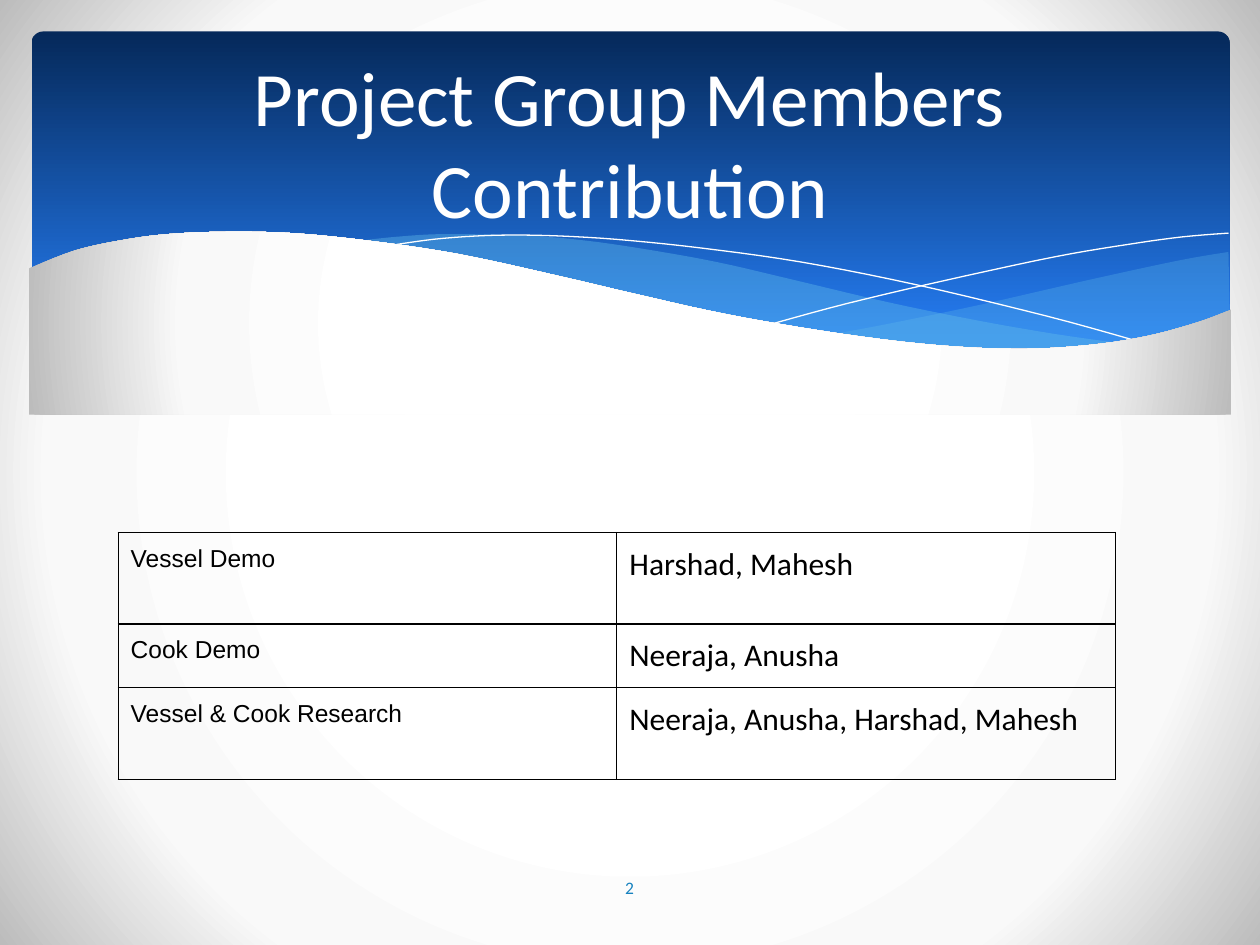
from typing import NamedTuple

import lxml.etree
import pptx
import pptx.dml.color
import pptx.enum.shapes
import pptx.enum.text
import pptx.oxml
import pptx.oxml.ns
import pptx.util

Pt = pptx.util.Pt
qn = pptx.oxml.ns.qn
Align = pptx.enum.text.PP_ALIGN
Anchor = pptx.enum.text.MSO_ANCHOR
Points = list[tuple[float, float]]

HUES = {"navy": "05295A", "blue": "257CF2", "sky": "62BCE9", "num": "1782BF",
        "white": "FFFFFF", "pale": "F9F9F9", "grey": "BCBCBC", "black": "000000"}
GLOW = [(0, "white"), (40, "white"), (74, "pale"), (100, "grey")]
DEEP = [(0, "navy"), (90, "blue"), (100, "blue")]
RADIAL = ('<a:path path="circle"><a:fillToRect l="50000" t="50000" '
          'r="50000" b="50000"/></a:path>')
DOWN = '<a:lin ang="5400000" scaled="0"/>'


class Wave(NamedTuple):
    curves: list[Points]
    alpha: int = 100


class Task(NamedTuple):
    name: str
    people: str
    height: float


# Wave curves: knots in points, joined smoothly
WAVES = [
    Wave([[(702, 144), (673, 149), (620, 160.5), (561, 174), (508, 185), (476, 191)],
          [(476, 191), (497.5, 193.7), (527, 197.3), (554, 199.4), (586, 200),
           (615, 198.7), (646, 194.4), (673, 188.6), (702.7, 177.8)]], 29),
    Wave([[(643, 196.5), (602.6, 190.8), (558, 183), (508, 172.8), (453, 159.8),
           (410, 149.8), (370, 142.6), (335, 137.5), (302.4, 134.6), (273.6, 133.9),
           (247.7, 133.9), (225.4, 135.4), (206, 137.5)],
          [(206, 137.5), (246, 143.3), (291, 152), (323.3, 159.8), (381.6, 172.8),
           (432.7, 183.6), (479, 191.5), (520, 197.3), (556.6, 200.2), (589, 200.2),
           (617, 199.4), (643, 196.5)]], 40),
]
LINES = [
    [(222.5, 140.4), (247.7, 136.8), (278.6, 134.6), (311.8, 134.6), (352, 136.8),
     (401, 141.8), (458, 149.8), (523.4, 162.7), (598.3, 180.7), (653, 195.8)],
    [(441.4, 185), (483.8, 173.5), (538.6, 160.6), (602, 146.9), (644.4, 139.7),
     (675.4, 135.4), (702, 133.2)],
]
EDGE = [(703.4, 177), (684, 184.3), (655, 192.2), (621.4, 197.3), (582.5, 199.4),
        (535.7, 197.3), (481, 190.8), (417, 180), (362, 167.8), (322, 158.4),
        (262.8, 145.4), (210, 137.5), (165.6, 133.2), (127.4, 132.5), (95, 133.9),
        (68.4, 137.5), (42.5, 143.3), (16.6, 153.4)]
BASE = [(16.6, 237), (703.4, 237)]

TASKS = [Task("Vessel Demo", "Harshad, Mahesh", 52.3),
         Task("Cook Demo", "Neeraja, Anusha", 36.4),
         Task("Vessel & Cook Research", "Neeraja, Anusha, Harshad, Mahesh", 52.3)]


def rgb(hue: str) -> pptx.dml.color.RGBColor:
    return pptx.dml.color.RGBColor.from_string(HUES[hue])


def shade(fill, root, stops: list, way: str) -> None:
    """Fill with a gradient of the given stops and direction."""
    fill.gradient()
    old = next(root.iter(qn("a:gradFill")))
    marks = "".join(f'<a:gs pos="{pos * 1000}"><a:srgbClr val="{HUES[hue]}"/></a:gs>'
                    for pos, hue in stops)
    new = pptx.oxml.parse_xml(
        f'<a:gradFill {pptx.oxml.ns.nsdecls("a")} rotWithShape="1">'
        f'<a:gsLst>{marks}</a:gsLst>{way}</a:gradFill>')
    old.getparent().replace(old, new)


def smooth(knots: Points, steps: int = 5) -> Points:
    """Pass a Catmull-Rom curve through the knots."""
    ends = [knots[0], *knots, knots[-1]]
    out = [knots[0]]
    for a, b, c, d in zip(ends, ends[1:], ends[2:], ends[3:]):
        for step in range(1, steps + 1):
            t = step / steps
            out.append(tuple(
                (2 * q + (r - p) * t + (2 * p - 5 * q + 4 * r - s) * t ** 2
                 + (3 * q - p - 3 * r + s) * t ** 3) / 2
                for p, q, r, s in zip(a, b, c, d)))
    return out


def trace(slide, dots: Points, close: bool):
    first, *rest = [(Pt(x), Pt(y)) for x, y in dots]
    pen = slide.shapes.build_freeform(*first, scale=1.0)
    pen.add_line_segments(rest, close=close)
    shape = pen.convert_to_shape()
    shape.shadow.inherit = False
    shape.line.fill.background()
    return shape


def style(para, size: float, font: str, hue: str) -> None:
    for run in para.runs:
        run.font.size = Pt(size)
        run.font.name = font
        run.font.color.rgb = rgb(hue)


def banner(slide) -> None:
    panel = slide.shapes.add_shape(pptx.enum.shapes.MSO_SHAPE.ROUNDED_RECTANGLE,
                                   Pt(18), Pt(18), Pt(684.7), Pt(194.4))
    panel.adjustments[0] = 0.034
    panel.shadow.inherit = False
    panel.line.fill.background()
    shade(panel.fill, panel._element, DEEP, DOWN)
    for wave in WAVES:
        dots = [dot for curve in wave.curves for dot in smooth(curve)]
        shape = trace(slide, dots, True)
        shape.fill.solid()
        shape.fill.fore_color.rgb = rgb("sky")
        tint = next(shape._element.iter(qn("a:srgbClr")))
        lxml.etree.SubElement(tint, qn("a:alpha"), val=str(wave.alpha * 1000))
    for knots in LINES:
        shape = trace(slide, smooth(knots), False)
        shape.fill.background()
        shape.line.color.rgb = rgb("white")
        shape.line.width = Pt(0.75)
    front = trace(slide, smooth(EDGE) + BASE, True)
    shade(front.fill, front._element, GLOW, RADIAL)


def border(cell) -> None:
    props = cell._tc.get_or_add_tcPr()
    for spot, side in enumerate(("lnL", "lnR", "lnT", "lnB")):
        props.insert(spot, pptx.oxml.parse_xml(
            f'<a:{side} {pptx.oxml.ns.nsdecls("a")} w="{Pt(0.75)}"><a:solidFill>'
            f'<a:srgbClr val="{HUES["black"]}"/></a:solidFill></a:{side}>'))


def write(cell, text: str, size: float, font: str, gap: float) -> None:
    cell.fill.background()
    border(cell)
    cell.margin_left = cell.margin_right = Pt(7.2)
    cell.margin_top = cell.margin_bottom = Pt(7.2)
    para = cell.text_frame.paragraphs[0]
    para.text = text
    para.space_before = Pt(gap)
    style(para, size, font, "black")


def roster(slide) -> None:
    table = slide.shapes.add_table(len(TASKS), 2, Pt(67.5), Pt(304.3), Pt(570),
                                   Pt(sum(task.height for task in TASKS))).table
    table.first_row = table.horz_banding = False
    for row, task in enumerate(TASKS):
        table.rows[row].height = Pt(task.height)
        write(table.cell(row, 0), task.name, 14, "Arial", 0)
        write(table.cell(row, 1), task.people, 18, "Calibri", 3.6)


def label(shape, box: tuple, text: str, size: float, hue: str) -> None:
    shape.left, shape.top, shape.width, shape.height = map(Pt, box)
    frame = shape.text_frame
    frame.word_wrap = True
    frame.vertical_anchor = Anchor.MIDDLE
    frame.text = text
    frame.paragraphs[0].alignment = Align.CENTER
    style(frame.paragraphs[0], size, "Calibri", hue)


def main() -> None:
    deck = pptx.Presentation()
    deck.slide_width, deck.slide_height = Pt(720), Pt(540)
    slide = deck.slides.add_slide(deck.slide_layouts[5])
    shade(slide.background.fill, slide._element, GLOW, RADIAL)
    banner(slide)
    # Title goes in front of the banner
    title = slide.shapes.title
    slide.shapes._spTree.append(title._element)
    label(title, (36, 31.7, 648, 98.6), "Project Group Members Contribution", 44, "white")
    roster(slide)
    # Slide number
    page = slide.shapes.add_textbox(0, 0, 0, 0)
    label(page, (314, 492.5, 91.5, 28.8), "2", 10, "num")
    deck.save("out.pptx")


if __name__ == "__main__":
    main()
